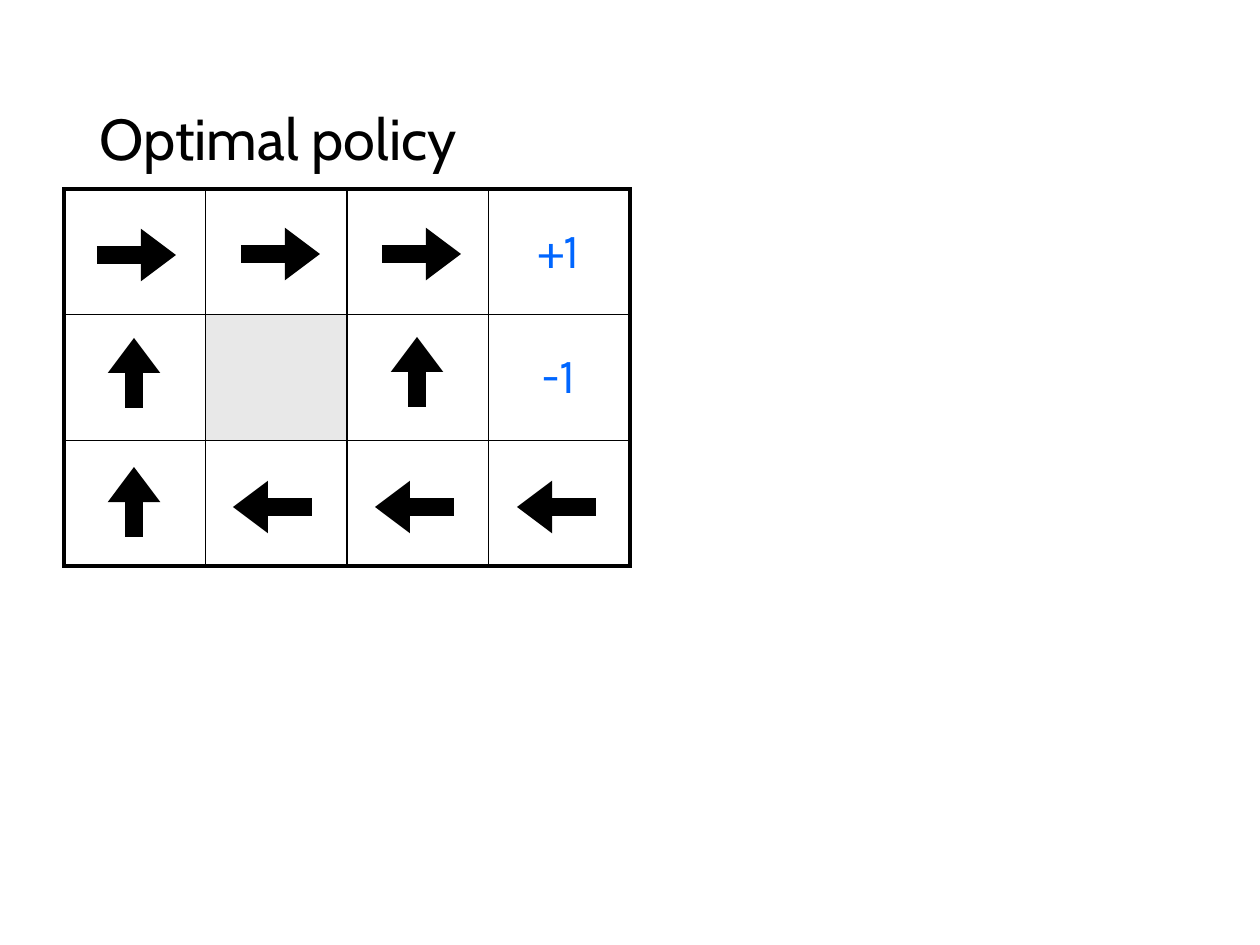
from lxml.etree import SubElement
from pptx import Presentation
from pptx.dml.color import RGBColor
from pptx.enum.shapes import MSO_CONNECTOR as Connector
from pptx.enum.text import MSO_ANCHOR as Anchor, PP_ALIGN as Align
from pptx.oxml.ns import qn
from pptx.util import Pt

PX = 914400 / 126
BLACK, BLUE, GREY = "000000", "0066FF", "E8E8E8"
COLUMNS, ROWS = 4, 3


def px(length):
    return round(length * PX)


def add_text(frame, text, size, font, color):
    """Write one run into the first paragraph and return the paragraph."""
    frame.vertical_anchor = Anchor.MIDDLE
    paragraph = frame.paragraphs[0]
    run = paragraph.add_run()
    run.text = text
    run.font.size = Pt(size)
    run.font.name = font
    run.font.color.rgb = RGBColor.from_string(color)
    return paragraph


presentation = Presentation()
presentation.slide_width, presentation.slide_height = px(1260), px(945)
slide = presentation.slides.add_slide(presentation.slide_layouts[6])

title = slide.shapes.add_textbox(px(87), px(50), px(1086), px(183))
title.text_frame.word_wrap = True
add_text(title.text_frame, "Optimal policy", 33, "Cabin", BLACK).line_spacing = 0.9

# Grid world
table = slide.shapes.add_table(ROWS, COLUMNS, px(64), px(189), px(566), px(377)).table
table.first_row = table.horz_banding = False
rewards = {(0, 3): "+1", (1, 3): "-1"}
wall = (1, 1)
for row in range(ROWS):
    for column in range(COLUMNS):
        cell = table.cell(row, column)
        if (row, column) in rewards:
            paragraph = add_text(cell.text_frame, rewards[row, column], 28, "Karla", BLUE)
            paragraph.alignment = Align.CENTER
            cell.vertical_anchor = Anchor.MIDDLE
        outer_edges = {
            "a:lnL": column == 0,
            "a:lnR": column == COLUMNS - 1,
            "a:lnT": row == 0,
            "a:lnB": row == ROWS - 1,
        }
        properties = cell._tc.get_or_add_tcPr()
        for tag, is_outer in outer_edges.items():
            border = SubElement(properties, qn(tag), w=str(Pt(2.25 if is_outer else 1)))
            SubElement(SubElement(border, qn("a:solidFill")), qn("a:srgbClr"), val=BLACK)
        if (row, column) == wall:
            cell.fill.solid()
            cell.fill.fore_color.rgb = RGBColor.from_string(GREY)
        else:
            cell.fill.background()

# Policy arrows: start point and step
RIGHT, LEFT, UP = (79, 0), (-79, 0), (0, -70)
arrows = [
    (97, 255, RIGHT), (241, 254, RIGHT), (382, 254, RIGHT),
    (134, 408, UP), (417, 407, UP),
    (134, 537, UP), (312, 507, LEFT), (454, 507, LEFT), (596, 507, LEFT),
]
for x, y, (dx, dy) in arrows:
    arrow = slide.shapes.add_connector(Connector.STRAIGHT, px(x), px(y), px(x + dx), px(y + dy))
    arrow.line.width = Pt(10)
    arrow.line.color.rgb = RGBColor.from_string(BLACK)
    SubElement(arrow.line._get_or_add_ln(), qn("a:tailEnd"), type="triangle", w="med", len="sm")
    SubElement(arrow._element.spPr, qn("a:effectLst"))

presentation.save("out.pptx")
